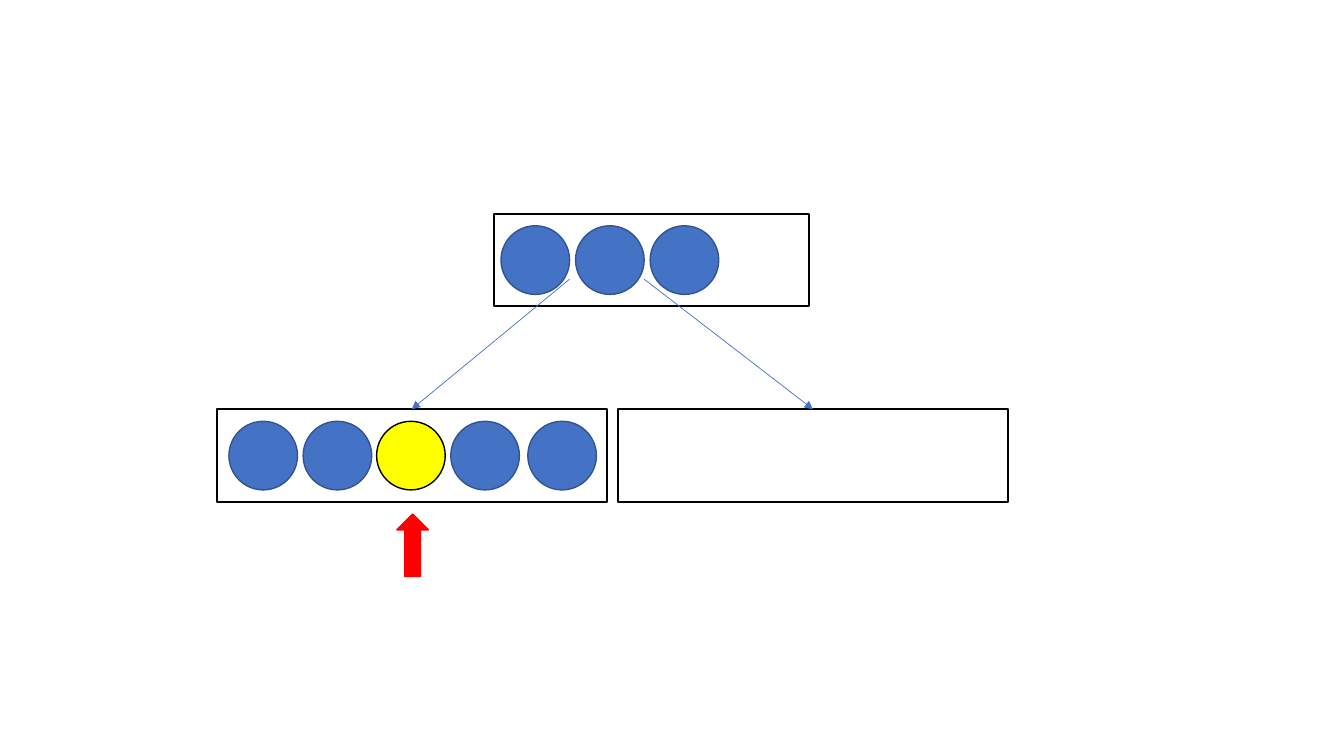
from dataclasses import dataclass

from lxml.etree import SubElement
from pptx import Presentation
from pptx.dml.color import RGBColor
from pptx.enum.shapes import MSO_CONNECTOR, MSO_SHAPE
from pptx.oxml.ns import qn
from pptx.util import Pt


@dataclass(frozen=True)
class Theme:
    white: str = "FFFFFF"
    black: str = "000000"
    key: str = "4472C4"
    key_edge: str = "325491"
    highlight: str = "FFFF00"
    pointer: str = "FF0000"
    node_line: float = 1.5
    key_line: float = 1
    link_line: float = 0.5


THEME = Theme()
NODE_HEIGHT = 66.24
KEY_SIZE = 49
ROOT_TOP = 152.64
LEAF_TOP = 292.32
LEAF_WIDTH = 278.64
LINK_TOP = 199.44


def add_filled(s, kind, left, top, width, height, fill, line, line_width):
    sp = s.shapes.add_shape(kind, Pt(left), Pt(top), Pt(width), Pt(height))
    sp.shadow.inherit = False
    sp.fill.solid()
    sp.fill.fore_color.rgb = RGBColor.from_string(fill)
    sp.line.color.rgb = RGBColor.from_string(line)
    sp.line.width = Pt(line_width)
    return sp


def add_node(s, left, top, width):
    return add_filled(s, MSO_SHAPE.RECTANGLE, left, top, width, NODE_HEIGHT,
                      THEME.white, THEME.black, THEME.node_line)


def add_keys(s, lefts, node_top, highlighted=None):
    """Draw a row of keys, vertically centred in the node at node_top."""
    top = node_top + (NODE_HEIGHT - KEY_SIZE) / 2
    for i, left in enumerate(lefts):
        fill, edge = ((THEME.highlight, THEME.black) if i == highlighted
                      else (THEME.key, THEME.key_edge))
        add_filled(s, MSO_SHAPE.OVAL, left, top, KEY_SIZE, KEY_SIZE,
                   fill, edge, THEME.key_line)


def add_link(s, left, child):
    """Draw an arrow from a gap in the root to the top of a child node."""
    link = s.shapes.add_connector(MSO_CONNECTOR.STRAIGHT, Pt(left),
                                  Pt(LINK_TOP), Pt(left), Pt(LEAF_TOP))
    link.end_connect(child, 0)
    link.line.color.rgb = RGBColor.from_string(THEME.key)
    link.line.width = Pt(THEME.link_line)
    SubElement(link.line._get_or_add_ln(), qn("a:tailEnd"), type="triangle")
    SubElement(link._element.spPr, qn("a:effectLst"))


def main():
    prs = Presentation()
    prs.slide_width, prs.slide_height = Pt(960), Pt(540)
    s = prs.slides.add_slide(prs.slide_layouts[6])

    right_leaf = add_node(s, 441.36, LEAF_TOP, LEAF_WIDTH)
    add_node(s, 352.8, ROOT_TOP, 225.36)
    left_leaf = add_node(s, 154.8, LEAF_TOP, LEAF_WIDTH)

    add_keys(s, (163.5, 216.5, 269, 322, 377), LEAF_TOP, highlighted=2)
    root_keys = [357.84 + 53.28 * i for i in range(3)]
    add_keys(s, root_keys, ROOT_TOP)

    add_filled(s, MSO_SHAPE.UP_ARROW, 283.5, 367.2, 22.5, 44.6,
               THEME.pointer, THEME.pointer, THEME.key_line)

    for key_left, leaf in zip(root_keys, (left_leaf, right_leaf)):
        add_link(s, key_left + KEY_SIZE, leaf)

    prs.save("out.pptx")


if __name__ == "__main__":
    main()
